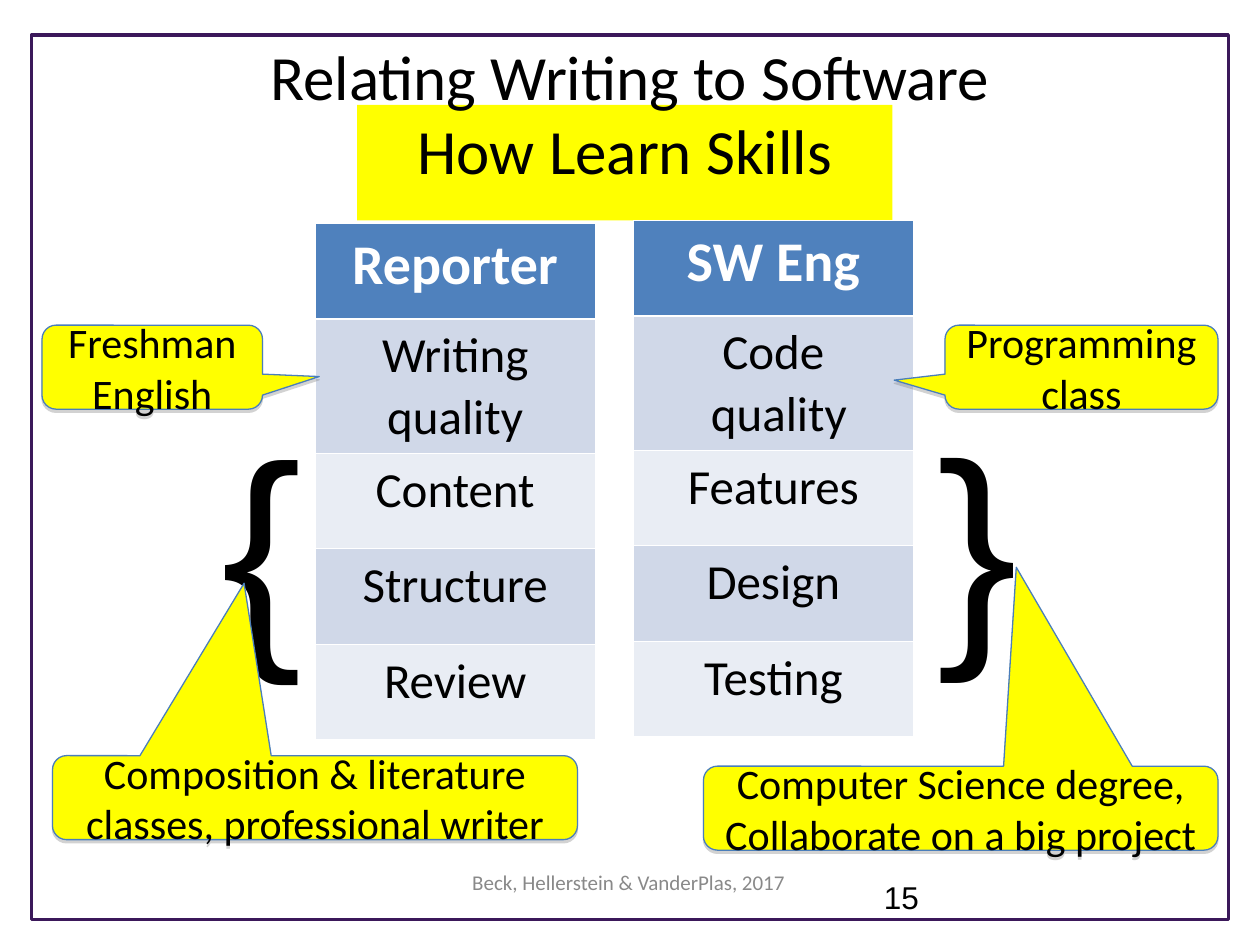
from lxml import etree
from pptx import Presentation
from pptx.dml.color import RGBColor
from pptx.enum.shapes import MSO_SHAPE
from pptx.enum.text import MSO_ANCHOR, MSO_AUTO_SIZE, PP_ALIGN
from pptx.oxml import parse_xml
from pptx.oxml.ns import nsdecls, qn
from pptx.util import Pt

RECTANGLE = MSO_SHAPE.RECTANGLE
CALLOUT = MSO_SHAPE.ROUNDED_RECTANGULAR_CALLOUT
TOP, MIDDLE = MSO_ANCHOR.TOP, MSO_ANCHOR.MIDDLE
LEFT, CENTER = PP_ALIGN.LEFT, PP_ALIGN.CENTER
FIT_SHAPE = MSO_AUTO_SIZE.SHAPE_TO_FIT_TEXT

BLACK, WHITE, YELLOW = "000000", "FFFFFF", "FFFF00"
HEADER_BLUE, BAND_DARK, BAND_LIGHT = "4F81BD", "D0D8E8", "E9EDF4"
FRAME_PURPLE, CALLOUT_BLUE, FOOTER_GRAY = "3B185A", "4A7EBB", "898989"
ROW_HEIGHTS = [54.5, 76.8, 54.5, 54.5, 54.5]
THIN, THICK = 0.45, 1.47


def color(hex_code):
    """Turn a hex string into a colour."""
    return RGBColor.from_string(hex_code)


def write(frame, lines, size, hex_code=BLACK, font="Calibri", align=CENTER, bold=False, spacing=None):
    """Write each line as a paragraph of one run."""
    for index, line in enumerate(lines):
        para = frame.paragraphs[0] if index == 0 else frame.add_paragraph()
        para.alignment = align
        if spacing:
            para.line_spacing = spacing
        span = para.add_run()
        span.text = line
        span.font.name = font
        span.font.size = Pt(size)
        span.font.bold = bold
        span.font.color.rgb = color(hex_code)


def add_text(page, place, line, size, **style):
    """Add a wrapping text box."""
    box = page.shapes.add_textbox(*map(Pt, place))
    box.text_frame.word_wrap = True
    write(box.text_frame, [line], size, **style)
    return box


def add_panel(page, kind, place, fill=None, line=None, line_width=0.75):
    """Add a preset shape with plain fill and line."""
    panel = page.shapes.add_shape(kind, *map(Pt, place))
    panel.shadow.inherit = False
    if fill:
        panel.fill.solid()
        panel.fill.fore_color.rgb = color(fill)
    else:
        panel.fill.background()
    if line:
        panel.line.color.rgb = color(line)
        panel.line.width = Pt(line_width)
    else:
        panel.line.fill.background()
    panel.text_frame.word_wrap = True
    return panel


def add_callout(page, place, tip, lines):
    """Add a yellow callout whose tip is given relative to its size."""
    callout = add_panel(page, CALLOUT, place, YELLOW, CALLOUT_BLUE)
    for index, value in enumerate((*tip, 0.167)):
        callout.adjustments[index] = value
    effects = callout.element.spPr.find(qn("a:effectLst"))
    effects.append(parse_xml(
        f'<a:outerShdw {nsdecls("a")} blurRad="0" dist="{Pt(1.8)}" dir="5400000" rotWithShape="0">'
        '<a:srgbClr val="808080"><a:alpha val="35000"/></a:srgbClr></a:outerShdw>'))
    callout.text_frame.vertical_anchor = MIDDLE
    write(callout.text_frame, lines, 24)


def add_brace(page, left, top, rotation=0):
    """Add a large brace as text."""
    brace = add_text(page, (left, top, 60.5, 172.8), "{", 138, font="Arial", align=LEFT)
    brace.text_frame.word_wrap = False
    brace.text_frame.auto_size = FIT_SHAPE
    brace.rotation = rotation


def set_borders(cell, top, bottom):
    """Give a cell white borders."""
    properties = cell._tc.get_or_add_tcPr()
    for side, width in (("L", THIN), ("R", THIN), ("T", top), ("B", bottom)):
        border = etree.SubElement(properties, qn(f"a:ln{side}"), w=str(Pt(width)))
        fill = etree.SubElement(border, qn("a:solidFill"))
        etree.SubElement(fill, qn("a:srgbClr"), val=WHITE)


def add_skill_table(page, left, top, rows):
    """Add a one-column table with a header and banded rows."""
    place = (left, top, 159.8, sum(ROW_HEIGHTS))
    table = page.shapes.add_table(len(rows), 1, *map(Pt, place)).table
    for index, (lines, height) in enumerate(zip(rows, ROW_HEIGHTS)):
        header = index == 0
        table.rows[index].height = Pt(height)
        cell = table.cell(index, 0)
        set_borders(cell, THICK if index == 1 else THIN, THICK if header else THIN)
        band = BAND_DARK if index % 2 else BAND_LIGHT
        cell.fill.solid()
        cell.fill.fore_color.rgb = color(HEADER_BLUE if header else band)
        cell.vertical_anchor = TOP
        write(cell.text_frame, lines, 32 if header else 28,
              WHITE if header else BLACK, bold=header, spacing=1.02)


def main():
    """Build the slide and save it."""
    deck = Presentation()
    deck.slide_width, deck.slide_height = Pt(720), Pt(540)
    page = deck.slides.add_slide(deck.slide_layouts[6])

    add_panel(page, RECTANGLE, (18, 20, 684, 505.5), line=FRAME_PURPLE, line_width=1.75)
    subtitle = add_panel(page, RECTANGLE, (204, 60, 306, 66), YELLOW)
    subtitle.text_frame.vertical_anchor = TOP
    write(subtitle.text_frame, ["How Learn Skills"], 36)
    add_text(page, (36, 18, 648, 66), "Relating Writing to Software", 36)
    add_text(page, (498, 498, 138, 28.8), "15", 18, font="Arial", align=LEFT)

    add_skill_table(page, 180.2, 127.7, [
        ["Reporter"], ["Writing quality"], ["Content"], ["Structure"], ["Review"]])
    add_skill_table(page, 362, 126, [
        ["SW Eng"], ["Code", " quality"], ["Features"], ["Design"], ["Testing"]])

    add_callout(page, (24, 185.8, 126, 48), (0.757, 0.112), ["Freshman English"])
    add_callout(page, (540, 185.8, 156, 48), (-0.686, 0.155), ["Programming", "class"])
    add_text(page, (245.5, 493.4, 227.5, 28.8), "Beck, Hellerstein & VanderPlas, 2017", 12,
             hex_code=FOOTER_GRAY)
    add_brace(page, 119.5, 221.6)
    add_callout(page, (30, 431.8, 300, 48), (-0.135, -2.553),
                ["Composition & literature classes, professional writer"])
    add_brace(page, 528.2, 259, rotation=180)
    add_callout(page, (402, 437.8, 294, 48), (0.108, -2.868),
                ["Computer Science degree, Collaborate on a big project"])

    deck.save("out.pptx")


if __name__ == "__main__":
    main()
